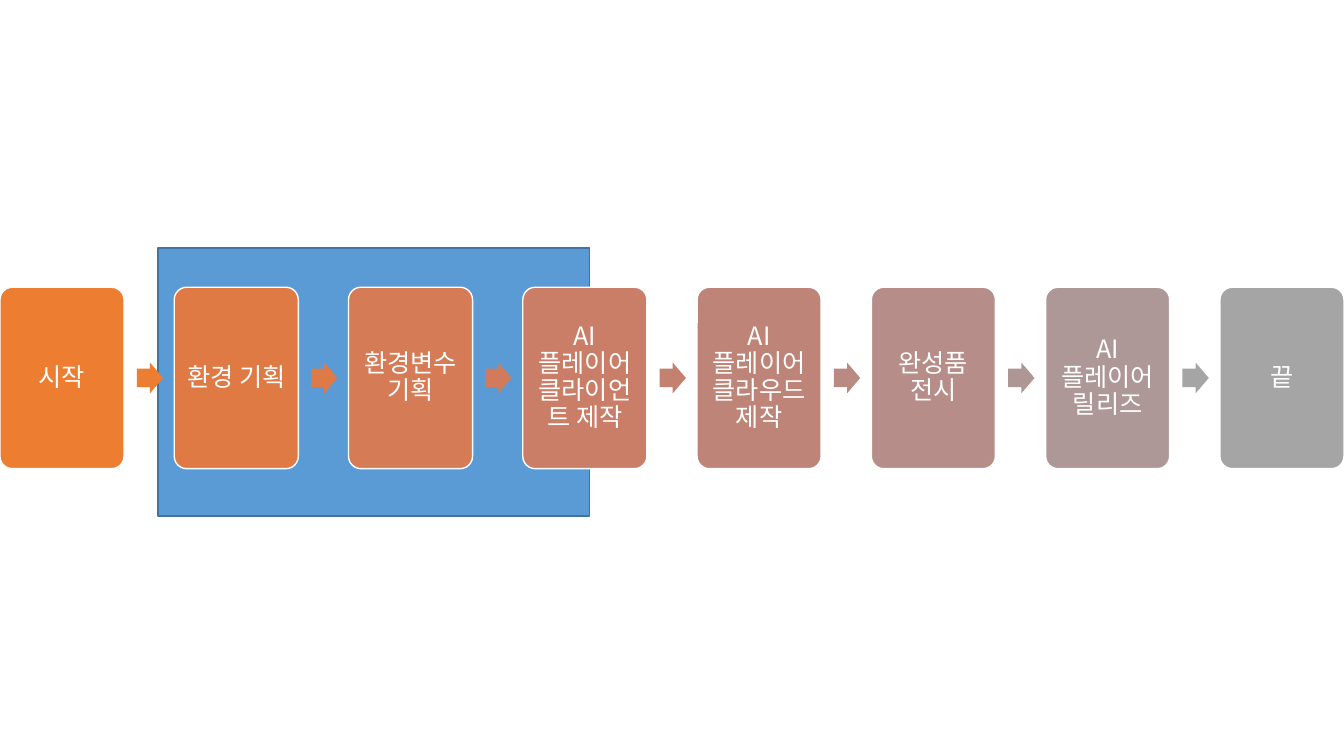
from dataclasses import dataclass

from lxml import etree
from pptx import Presentation
from pptx.dml.color import RGBColor
from pptx.enum.shapes import MSO_SHAPE
from pptx.enum.text import MSO_ANCHOR, PP_ALIGN
from pptx.oxml.ns import qn
from pptx.util import Pt

RECT = MSO_SHAPE.RECTANGLE
CARD = MSO_SHAPE.ROUNDED_RECTANGLE
ARROW = MSO_SHAPE.RIGHT_ARROW
MIDDLE = MSO_ANCHOR.MIDDLE
CENTER = PP_ALIGN.CENTER

# Step label, card colour, colour of the arrow to the next step
STEPS = [
    ("시작", "ED7D31", "ED7D31"),
    ("환경 기획", "E07A44", "DE7A47"),
    ("환경변수 기획", "D57B56", "D17B5C"),
    ("AI 플레이어 클라이언트 제작", "CA7E67", "C48170"),
    ("AI 플레이어\n클라우드 제작", "BF8478", "B98A82"),
    ("완성품 전시", "B68D88", "AE9694"),
    ("AI 플레이어 릴리즈", "AD9897", "A5A5A5"),
    ("끝", "A5A5A5", None),
]


@dataclass(frozen=True)
class Theme:
    font: str = "Noto Sans CJK KR"
    size: int = 18
    text: str = "FFFFFF"
    card_line: str = "FFFFFF"
    panel: str = "5B9BD5"
    panel_line: str = "43739E"


THEME = Theme()
SLIDE_W, SLIDE_H = 960, 540
PANEL = (112.9, 177.1, 308.2, 191.5)
CARD_W, CARD_H = 88.6, 129.6
ARROW_W, ARROW_H = 18.8, 22
MID_Y = SLIDE_H / 2
PITCH = (SLIDE_W - CARD_W) / (len(STEPS) - 1)
ARROW_DX = 97.7
INSET = 5


def add_block(slide, kind, box, fill, line=None, adjustments=()):
    sp = slide.shapes.add_shape(kind, *(Pt(v) for v in box))
    sp.shadow.inherit = False
    sp.fill.solid()
    sp.fill.fore_color.rgb = RGBColor.from_string(fill)
    if line:
        sp.line.color.rgb = RGBColor.from_string(line)
        sp.line.width = Pt(1)
    else:
        sp.line.fill.background()
    for i, value in enumerate(adjustments):
        sp.adjustments[i] = value
    return sp


def set_label(sp, label):
    tf = sp.text_frame
    tf.word_wrap = True
    tf.vertical_anchor = MIDDLE
    tf.margin_left = tf.margin_right = Pt(INSET)
    tf.margin_top = tf.margin_bottom = Pt(INSET)
    p = tf.paragraphs[0]
    p.text = label
    p.alignment = CENTER
    p.line_spacing = 0.9
    p.space_after = Pt(0.35 * THEME.size)
    p.font.size = Pt(THEME.size)
    p.font.name = THEME.font
    p.font.color.rgb = RGBColor.from_string(THEME.text)
    # Hangul takes its typeface from a:ea
    props = p._p.pPr.find(qn("a:defRPr"))
    etree.SubElement(props, qn("a:ea"), typeface=THEME.font)


def main():
    prs = Presentation()
    prs.slide_width, prs.slide_height = Pt(SLIDE_W), Pt(SLIDE_H)
    s = prs.slides.add_slide(prs.slide_layouts[6])

    add_block(s, RECT, PANEL, THEME.panel, THEME.panel_line)
    for i, (label, card_fill, arrow_fill) in enumerate(STEPS):
        x = i * PITCH
        card_box = (x, MID_Y - CARD_H / 2, CARD_W, CARD_H)
        card = add_block(s, CARD, card_box, card_fill, THEME.card_line, [0.1])
        set_label(card, label)
        if arrow_fill:
            arrow_box = (x + ARROW_DX, MID_Y - ARROW_H / 2, ARROW_W, ARROW_H)
            add_block(s, ARROW, arrow_box, arrow_fill, adjustments=[0.6, 0.5])

    prs.save("out.pptx")


if __name__ == "__main__":
    main()
